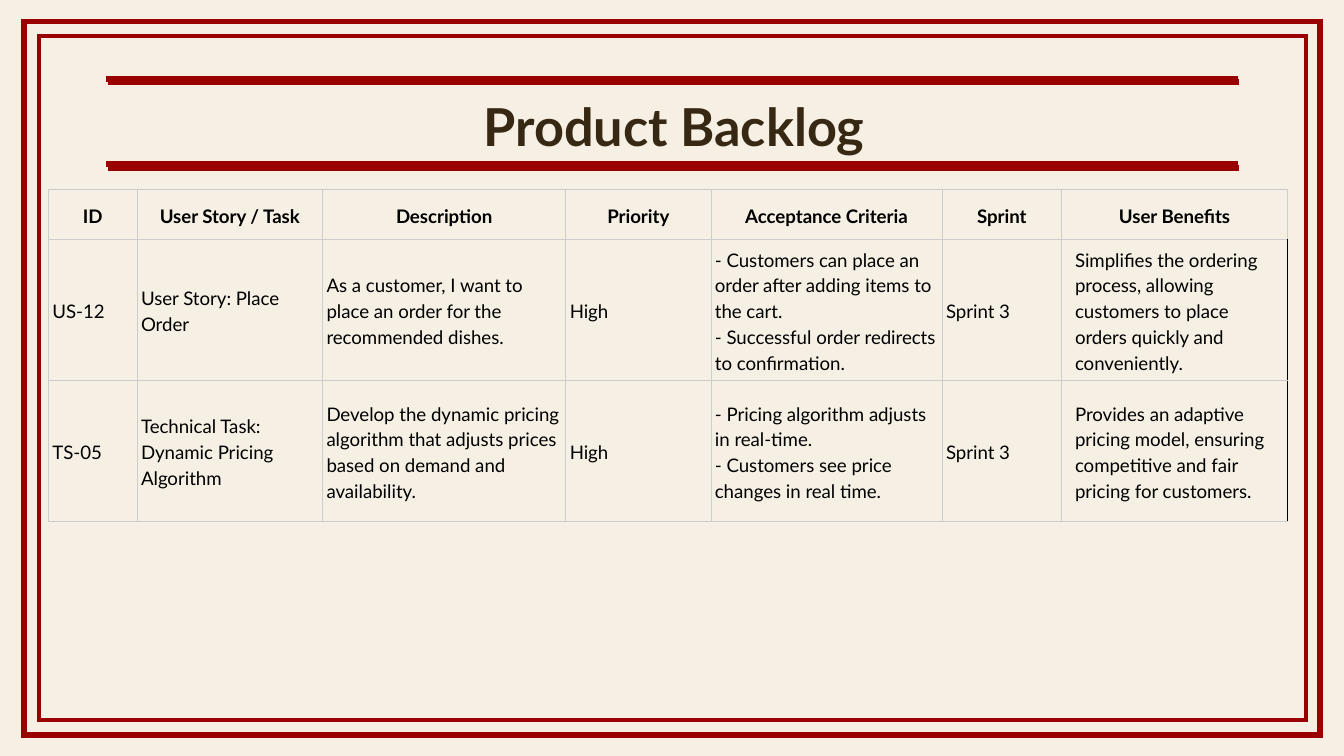
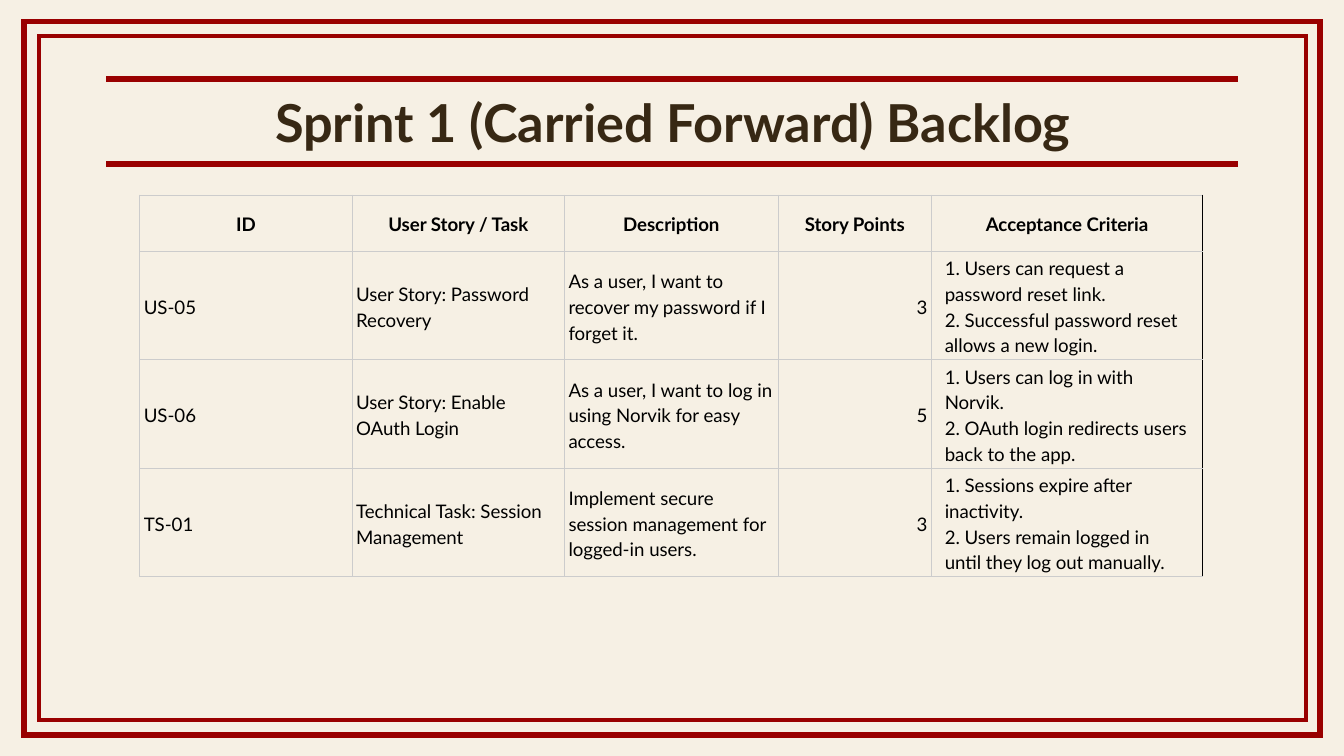
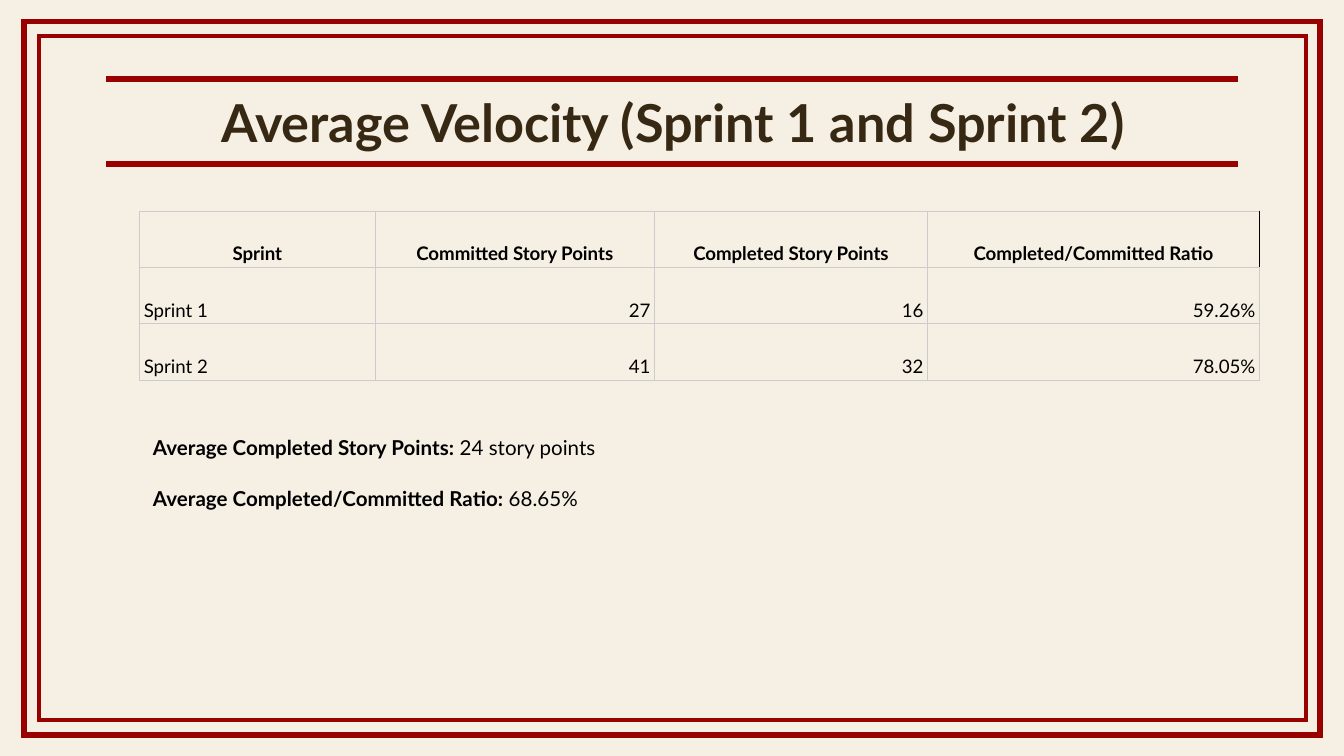
import pptx
import pptx.dml.color
import pptx.enum.shapes
import pptx.enum.text
import pptx.oxml
import pptx.oxml.ns
import pptx.util
from lxml import etree

Inches = pptx.util.Inches
Pt = pptx.util.Pt
ALIGN = pptx.enum.text.PP_ALIGN
ANCHOR = pptx.enum.text.MSO_ANCHOR
SHAPE = pptx.enum.shapes.MSO_SHAPE
STRAIGHT = pptx.enum.shapes.MSO_CONNECTOR.STRAIGHT

CREAM = "F6F0E4"
CRIMSON = "990000"
BROWN = "372814"
BLACK = "000000"
GRID = "CCCCCC"
FONT = "Lato"
PADDING = 0.1


def color(value):
    return pptx.dml.color.RGBColor.from_string(value)


def write(paragraph, text, size=10, bold=False, shade=BLACK, align=ALIGN.LEFT, spacing=1.15, before=0):
    paragraph.alignment = align
    paragraph.line_spacing = spacing
    paragraph.space_before = Pt(before)
    span = paragraph.add_run()
    span.text = text
    span.font.name = FONT
    span.font.size = Pt(size)
    span.font.bold = bold
    span.font.color.rgb = color(shade)


frames = [(0.18, 0.16, 9.64, 5.31, 3), (0.29, 0.27, 9.43, 5.09, 2.25)]
rules = [(0.79, 0.59), (0.79, 1.22)]

slides = [
    {
        "title": "Product Backlog",
        "title_at": (0.8, 0.62),
        "rules": rules + [(0.8, 0.61), (0.8, 1.25)],
        "table_at": (0.36, 1.41),
        "columns": [0.66, 1.38, 1.81, 1.08, 1.72, 0.89, 1.68],
        "rows": [0.37, 1.05, 1.05],
        "anchor": ANCHOR.MIDDLE,
        "dark_edge_rows": [1, 2],
        "cells": [
            ["ID", "User Story / Task", "Description", "Priority", "Acceptance Criteria", "Sprint", "User Benefits"],
            ["US-12", "User Story: Place Order",
             "As a customer, I want to place an order for the recommended dishes.", "High",
             "- Customers can place an order after adding items to the cart.\n"
             "- Successful order redirects to confirmation.", "Sprint 3",
             "Simplifies the ordering process, allowing customers to place orders quickly and conveniently."],
            ["TS-05", "Technical Task: Dynamic Pricing Algorithm",
             "Develop the dynamic pricing algorithm that adjusts prices based on demand and availability.", "High",
             "- Pricing algorithm adjusts in real-time.\n"
             "- Customers see price changes in real time.", "Sprint 3",
             "Provides an adaptive pricing model, ensuring competitive and fair pricing for customers."],
        ],
    },
    {
        "title": "Sprint 1 (Carried Forward) Backlog",
        "title_at": (0.79, 0.59),
        "rules": rules,
        "table_at": (1.04, 1.45),
        "columns": [1.58, 1.58, 1.59, 1.14, 2.02],
        "rows": [0.42, 0.8, 0.8, 0.8],
        "anchor": ANCHOR.MIDDLE,
        "dark_edge_rows": [0, 1, 2, 3],
        "cells": [
            ["ID", "User Story / Task", "Description", "Story Points", "Acceptance Criteria"],
            ["US-05", "User Story: Password Recovery",
             "As a user, I want to recover my password if I forget it.", "3",
             "1. Users can request a password reset link.\n2. Successful password reset allows a new login."],
            ["US-06", "User Story: Enable OAuth Login",
             "As a user, I want to log in using Norvik for easy access.", "5",
             "1. Users can log in with Norvik.\n2. OAuth login redirects users back to the app."],
            ["TS-01", "Technical Task: Session Management",
             "Implement secure session management for logged-in users.", "3",
             "1. Sessions expire after inactivity.\n2. Users remain logged in until they log out manually."],
        ],
    },
    {
        "title": "Average Velocity (Sprint 1 and Sprint 2)",
        "title_at": (0.79, 0.59),
        "rules": rules,
        "table_at": (1.04, 1.57),
        "columns": [1.75, 2.08, 2.03, 2.47],
        "rows": [0.42, 0.42, 0.42],
        "anchor": ANCHOR.BOTTOM,
        "dark_edge_rows": [0],
        "cells": [
            ["Sprint", "Committed Story Points", "Completed Story Points", "Completed/Committed Ratio"],
            ["Sprint 1", "27", "16", "59.26%"],
            ["Sprint 2", "41", "32", "78.05%"],
        ],
    },
]

averages = [
    ("Average Completed Story Points:", " 24 story points"),
    ("Average Completed/Committed Ratio:", " 68.65%"),
]

deck = pptx.Presentation()
deck.slide_width = Inches(10)
deck.slide_height = deck.slide_width * 9 // 16
background = deck.slide_master.background.fill
background.solid()
background.fore_color.rgb = color(CREAM)

for content in slides:
    page = deck.slides.add_slide(deck.slide_layouts[6])

    for left, top, width, height, weight in frames:
        frame = page.shapes.add_shape(SHAPE.RECTANGLE, Inches(left), Inches(top), Inches(width), Inches(height))
        frame.shadow.inherit = False
        frame.fill.background()
        frame.line.color.rgb = color(CRIMSON)
        frame.line.width = Pt(weight)
        outline = frame.element.spPr.find(pptx.oxml.ns.qn("a:ln"))
        etree.SubElement(outline, pptx.oxml.ns.qn("a:miter"), lim="800000")

    for left, top in content["rules"]:
        rule = page.shapes.add_connector(STRAIGHT, Inches(left), Inches(top), Inches(left + 8.42), Inches(top))
        rule.line.color.rgb = color(CRIMSON)
        rule.line.width = Pt(3)
        etree.SubElement(rule.element.spPr, pptx.oxml.ns.qn("a:effectLst"))

    left, top = content["title_at"]
    title = page.shapes.add_textbox(Inches(left), Inches(top), Inches(8.43), Inches(0.63)).text_frame
    title.word_wrap = True
    title.vertical_anchor = ANCHOR.MIDDLE
    title.margin_left = title.margin_right = title.margin_top = title.margin_bottom = Inches(PADDING)
    write(title.paragraphs[0], content["title"], size=28, bold=True, shade=BROWN, align=ALIGN.CENTER, spacing=1.0)

    left, top = content["table_at"]
    columns, rows = content["columns"], content["rows"]
    table = page.shapes.add_table(len(rows), len(columns), Inches(left), Inches(top),
                                  Inches(sum(columns)), Inches(sum(rows))).table
    table.first_row = False
    table.horz_banding = False
    for column, width in zip(table.columns, columns):
        column.width = Inches(width)
    for row_index, height in enumerate(rows):
        table.rows[row_index].height = Inches(height)
        for column_index, text in enumerate(content["cells"][row_index]):
            cell = table.cell(row_index, column_index)
            dark_edge = column_index == len(columns) - 1 and row_index in content["dark_edge_rows"]
            cell.vertical_anchor = content["anchor"]
            cell.margin_left = cell.margin_right = Inches(PADDING if dark_edge else 0.03)
            cell.margin_top = cell.margin_bottom = Inches(0.02)

            properties = cell._tc.get_or_add_tcPr()
            for side in ("lnL", "lnR", "lnT", "lnB"):
                border = etree.SubElement(properties, pptx.oxml.ns.qn(f"a:{side}"), w=str(Pt(0.42)))
                paint = etree.SubElement(border, pptx.oxml.ns.qn("a:solidFill"))
                shade = BLACK if dark_edge and side == "lnR" else GRID
                etree.SubElement(paint, pptx.oxml.ns.qn("a:srgbClr"), val=shade)
            cell.fill.background()

            header = row_index == 0
            numeric = text.rstrip("%").replace(".", "").isdigit()
            align = ALIGN.CENTER if header else ALIGN.RIGHT if numeric else ALIGN.LEFT
            for line_index, line in enumerate(text.split("\n")):
                paragraph = cell.text_frame.add_paragraph() if line_index else cell.text_frame.paragraphs[0]
                write(paragraph, line, bold=header, align=align)

summary = page.shapes.add_textbox(Inches(1.04), Inches(3.11), Inches(7.44), Inches(1.71)).text_frame
summary.word_wrap = True
summary.margin_left = summary.margin_right = summary.margin_top = summary.margin_bottom = Inches(PADDING)
for index, (label, value) in enumerate(averages):
    paragraph = summary.add_paragraph() if index else summary.paragraphs[0]
    before = 12 if index else 0
    write(paragraph, label, size=11, bold=True, before=before)
    write(paragraph, value, size=11, before=before)

deck.save("out.pptx")
